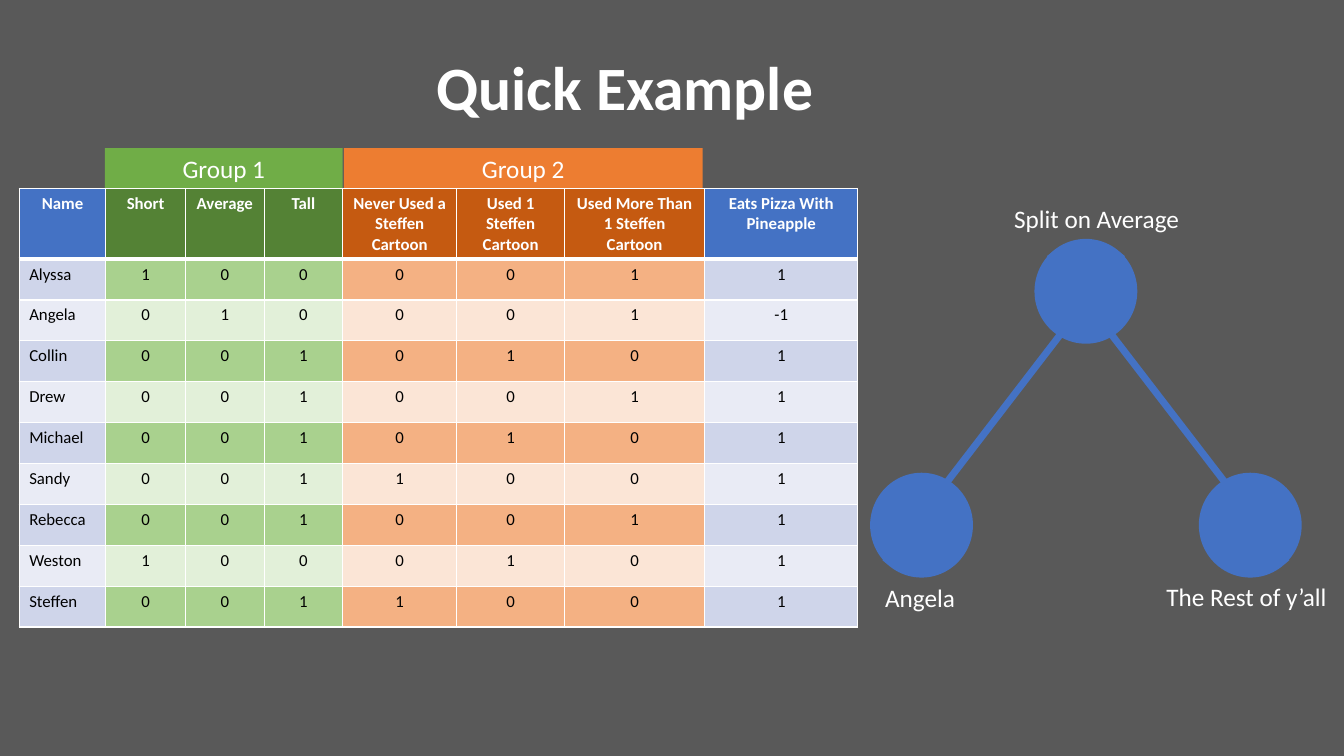
from pptx import Presentation
from pptx.dml.color import RGBColor
from pptx.enum.shapes import MSO_CONNECTOR, MSO_SHAPE
from pptx.enum.text import MSO_ANCHOR, MSO_AUTO_SIZE, PP_ALIGN
from pptx.oxml.ns import qn
from pptx.util import Inches, Pt
from lxml import etree

LEFT, CENTER = PP_ALIGN.LEFT, PP_ALIGN.CENTER
MIDDLE = MSO_ANCHOR.MIDDLE
GROW = MSO_AUTO_SIZE.SHAPE_TO_FIT_TEXT
OVAL, RECT = MSO_SHAPE.OVAL, MSO_SHAPE.RECTANGLE
STRAIGHT = MSO_CONNECTOR.STRAIGHT

WHITE, BLACK, BLUE = "FFFFFF", "000000", "4472C4"
GREEN, ORANGE = "70AD47", "ED7D31"

# Header, odd-row and even-row fills of each column group
PLAIN = (BLUE, "CFD5EA", "E9EBF5")
HEIGHT = ("548235", "A9D18E", "E2F0D9")
USAGE = ("C55A11", "F4B183", "FBE5D6")

COLUMNS = [
    ("Name", 0.86, PLAIN),
    ("Short", 0.79, HEIGHT),
    ("Average", 0.78, HEIGHT),
    ("Tall", 0.78, HEIGHT),
    ("Never Used a Steffen Cartoon", 1.13, USAGE),
    ("Used 1 Steffen Cartoon", 1.07, USAGE),
    ("Used More Than 1 Steffen Cartoon", 1.39, USAGE),
    ("Eats Pizza With Pineapple", 1.52, PLAIN),
]
PEOPLE = [
    ("Alyssa", 1, 0, 0, 0, 0, 1, 1),
    ("Angela", 0, 1, 0, 0, 0, 1, -1),
    ("Collin", 0, 0, 1, 0, 1, 0, 1),
    ("Drew", 0, 0, 1, 0, 0, 1, 1),
    ("Michael", 0, 0, 1, 0, 1, 0, 1),
    ("Sandy", 0, 0, 1, 1, 0, 0, 1),
    ("Rebecca", 0, 0, 1, 0, 0, 1, 1),
    ("Weston", 1, 0, 0, 0, 1, 0, 1),
    ("Steffen", 0, 0, 1, 1, 0, 0, 1),
]


def color(code):
    return RGBColor.from_string(code)


def paint(item, code):
    item.fill.solid()
    item.fill.fore_color.rgb = color(code)


def edge(cell, side, width):
    """Draw a white border on one side (L, R, T or B) of a cell."""
    props = cell._tc.get_or_add_tcPr()
    line = etree.SubElement(props, qn(f"a:ln{side}"), w=str(Pt(width)))
    fill = etree.SubElement(line, qn("a:solidFill"))
    etree.SubElement(fill, qn("a:srgbClr"), val=WHITE)


class Deck:
    """Holds the text style and the current slide."""

    def __init__(self, font, back):
        self.font = font
        self.file = Presentation()
        self.file.slide_width = Inches(13.33)
        self.file.slide_height = Inches(7.5)
        self.slide = self.file.slides.add_slide(self.file.slide_layouts[5])
        paint(self.slide.background, back)

    def text(self, frame, words, size=18, ink=WHITE, bold=False, align=LEFT):
        frame.text = words
        para = frame.paragraphs[0]
        para.alignment = align
        font = para.runs[0].font
        font.name, font.size, font.bold = self.font, Pt(size), bold
        font.color.rgb = color(ink)

    def title(self, words, *box):
        shape = self.slide.shapes.title
        shape.left, shape.top, shape.width, shape.height = map(Inches, box)
        frame = shape.text_frame
        frame.vertical_anchor = MIDDLE
        self.text(frame, words, 44, bold=True)
        frame.paragraphs[0].line_spacing = 0.9

    def shape(self, kind, fill, *box):
        shape = self.slide.shapes.add_shape(kind, *map(Inches, box))
        shape.shadow.inherit = False
        paint(shape, fill)
        shape.line.fill.background()
        return shape

    def band(self, words, fill, *box):
        frame = self.shape(RECT, fill, *box).text_frame
        frame.auto_size = GROW
        self.text(frame, words, align=CENTER)

    def label(self, words, *box):
        frame = self.slide.shapes.add_textbox(*map(Inches, box)).text_frame
        frame.word_wrap = True
        frame.auto_size = GROW
        self.text(frame, words)

    def line(self, *ends):
        line = self.slide.shapes.add_connector(STRAIGHT, *map(Inches, ends))
        line.line.color.rgb = color(BLUE)
        line.line.width = Pt(5)
        etree.SubElement(line._element.spPr, qn("a:effectLst"))

    def table(self, cols, rows, head, *box):
        """Add a table whose first row has the height head."""
        size = len(rows) + 1, len(cols)
        grid = self.slide.shapes.add_table(*size, *map(Inches, box)).table
        grid.horz_banding = False
        for col, (_, width, _) in zip(grid.columns, cols):
            col.width = Inches(width)
        for row in grid.rows:
            row.height = Inches((box[3] - head) / len(rows))
        grid.rows[0].height = Inches(head)

        lines = [[name for name, _, _ in cols], *rows]
        for r, line in enumerate(lines):
            for c, value in enumerate(line):
                cell = grid.cell(r, c)
                top = r == 0
                edge(cell, "L", 1)
                edge(cell, "R", 1)
                edge(cell, "T", 3 if r == 1 else 1)
                edge(cell, "B", 3 if top else 1)
                fills = cols[c][2]
                paint(cell, fills[0] if top else fills[2 - r % 2])
                self.text(cell.text_frame, str(value), 12,
                          WHITE if top else BLACK, top,
                          CENTER if top or c else LEFT)


def main():
    deck = Deck("Calibri", "595959")
    deck.title("Quick Example", 4.23, 0.17, 3.98, 1.45)

    for left, top in [(10.26, 2.37), (8.63, 4.69), (11.89, 4.69)]:
        deck.shape(OVAL, BLUE, left, top, 1.02, 1.04)
    deck.line(11.13, 2.52, 8.78, 5.58)
    deck.line(10.41, 2.52, 12.76, 5.58)
    deck.label("Split on Average", 9.96, 1.97, 1.93, 0.4)
    deck.label("Angela", 8.68, 5.73, 1.02, 0.4)
    deck.label("The Rest of y’all", 11.47, 5.72, 1.86, 0.4)

    deck.band("Group 2", ORANGE, 3.41, 1.47, 3.56, 0.4)
    deck.band("Group 1", GREEN, 1.04, 1.47, 2.36, 0.4)
    deck.table(COLUMNS, PEOPLE, 0.7, 0.19, 1.87, 8.29, 4.35)
    deck.file.save("out.pptx")


if __name__ == "__main__":
    main()
